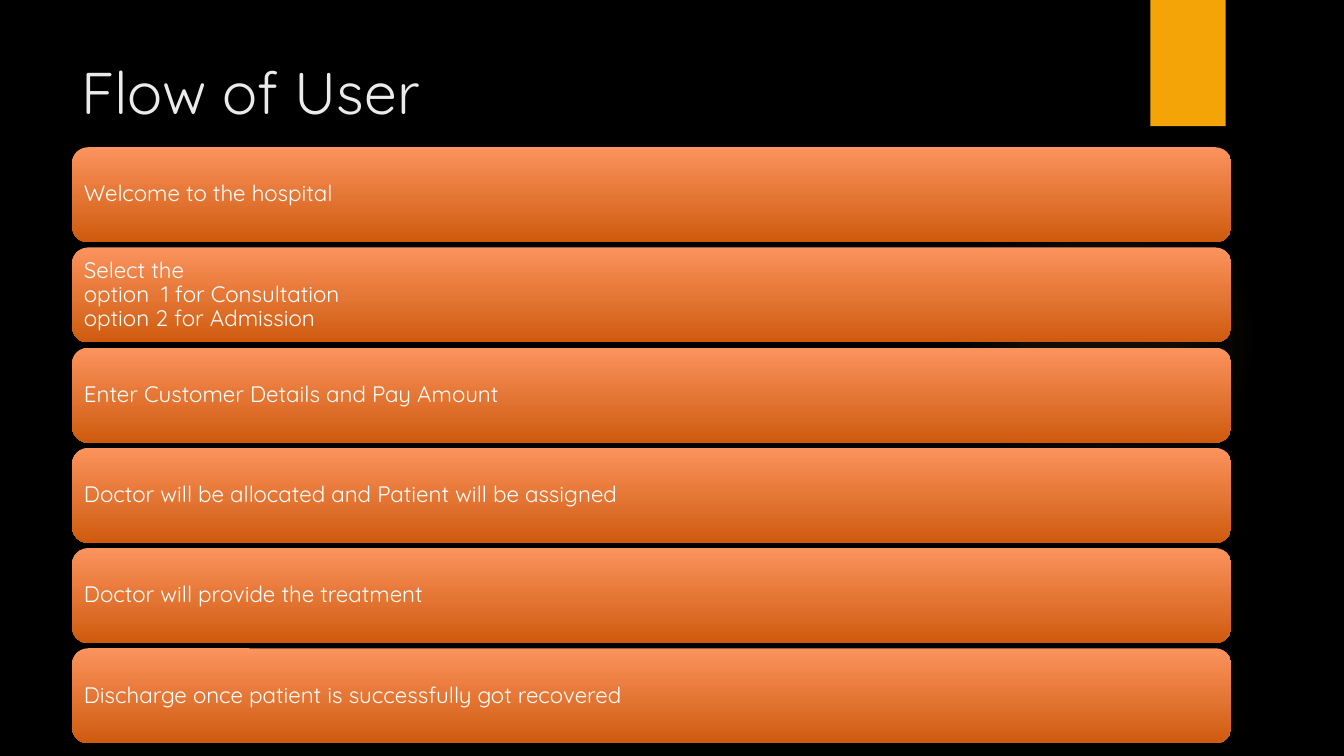
from lxml.etree import SubElement
from pptx import Presentation
from pptx.dml.color import RGBColor
from pptx.enum.shapes import MSO_SHAPE
from pptx.enum.text import MSO_ANCHOR, PP_ALIGN
from pptx.oxml.ns import qn
from pptx.util import Cm, Pt

FONT = "Quicksand"
STEPS = [
    "Welcome to the hospital",
    "Select the \voption  1 for Consultation \voption 2 for Admission",
    "Enter Customer Details and Pay Amount",
    "Doctor will be allocated and Patient will be assigned",
    "Doctor will provide the treatment",
    "Discharge once patient is successfully got recovered",
]


def paint(target, color):
    """Give a fill or font a solid hex colour."""
    if hasattr(target, "solid"):
        target.solid()
        target.fore_color.rgb = RGBColor.from_string(color)
    else:
        target.color.rgb = RGBColor.from_string(color)


def style_text(para, size, color):
    """Set the font, size and colour of a whole paragraph."""
    para.alignment = PP_ALIGN.LEFT
    para.font.name = FONT
    para.font.size = Pt(size)
    paint(para.font, color)


def add_plain_shape(page, kind, box):
    """Add a preset shape without outline or shadow; box is in centimetres."""
    shape = page.shapes.add_shape(kind, *map(Cm, box))
    shape.shadow.inherit = False
    shape.line.fill.background()
    return shape


def add_glow(page, box):
    """Add a faint round glow that fades out towards its edge."""
    glow = add_plain_shape(page, MSO_SHAPE.OVAL, box)
    glow.fill.gradient()
    gradient = glow.element.spPr.find(qn("a:gradFill"))
    for child in list(gradient):
        gradient.remove(child)
    stops = SubElement(gradient, qn("a:gsLst"))
    for position, opacity in [(0, 7), (36, 6), (69, 0)]:
        stop = SubElement(stops, qn("a:gs"), pos=str(position * 1000))
        color = SubElement(stop, qn("a:srgbClr"), val="FAC96A")
        SubElement(color, qn("a:alpha"), val=str(opacity * 1000))
    circle = SubElement(gradient, qn("a:path"), path="circle")
    SubElement(circle, qn("a:fillToRect"), l="50000", t="50000", r="50000", b="50000")


def add_backdrop(page, glow_box, tab_box):
    """Draw the black background, the glow and the amber tab."""
    paint(page.background.fill, "000000")
    add_glow(page, glow_box)
    tab = add_plain_shape(page, MSO_SHAPE.RECTANGLE, tab_box)
    paint(tab.fill, "F5A408")


def set_title(page, text, box):
    """Place and format the title placeholder."""
    title = page.shapes.title
    title.left, title.top, title.width, title.height = map(Cm, box)
    frame = title.text_frame
    frame.text = text
    frame.vertical_anchor = MSO_ANCHOR.TOP
    style_text(frame.paragraphs[0], 42, "EBEBEB")


def add_step(page, text, box):
    """Add one rounded step bar with its text."""
    bar = add_plain_shape(page, MSO_SHAPE.ROUNDED_RECTANGLE, box)
    bar.fill.gradient()
    bar.fill.gradient_angle = 270
    for stop, color in zip(bar.fill.gradient_stops, ("FB935D", "CF5B0F")):
        stop.color.rgb = RGBColor.from_string(color)
    frame = bar.text_frame
    frame.word_wrap = True
    frame.vertical_anchor = MSO_ANCHOR.MIDDLE
    frame.margin_left = frame.margin_right = Cm(0.18)
    frame.margin_top = frame.margin_bottom = Cm(0.18)
    para = frame.paragraphs[0]
    para.text = text
    para.line_spacing = 0.9
    style_text(para, 16, "FFFFFF")


def add_flow(page, steps, box, gap=0.13):
    """Stack the steps in the box with equal heights and gaps."""
    left, top, width, height = box
    pitch = (height + gap) / len(steps)
    for index, text in enumerate(steps):
        add_step(page, text, (left, top + index * pitch, width, pitch - gap))


deck = Presentation()
deck.slide_width, deck.slide_height = Cm(33.87), Cm(19.05)
page = deck.slides.add_slide(deck.slide_layouts[5])
add_backdrop(page, glow_box=(23.9, 4.65, 7.82, 7.82), tab_box=(28.99, 0, 1.9, 3.18))
set_title(page, "Flow of User", (1.8, 1.27, 26.14, 3.89))
add_flow(page, STEPS, (1.82, 3.71, 29.21, 15.02))
deck.save("out.pptx")
